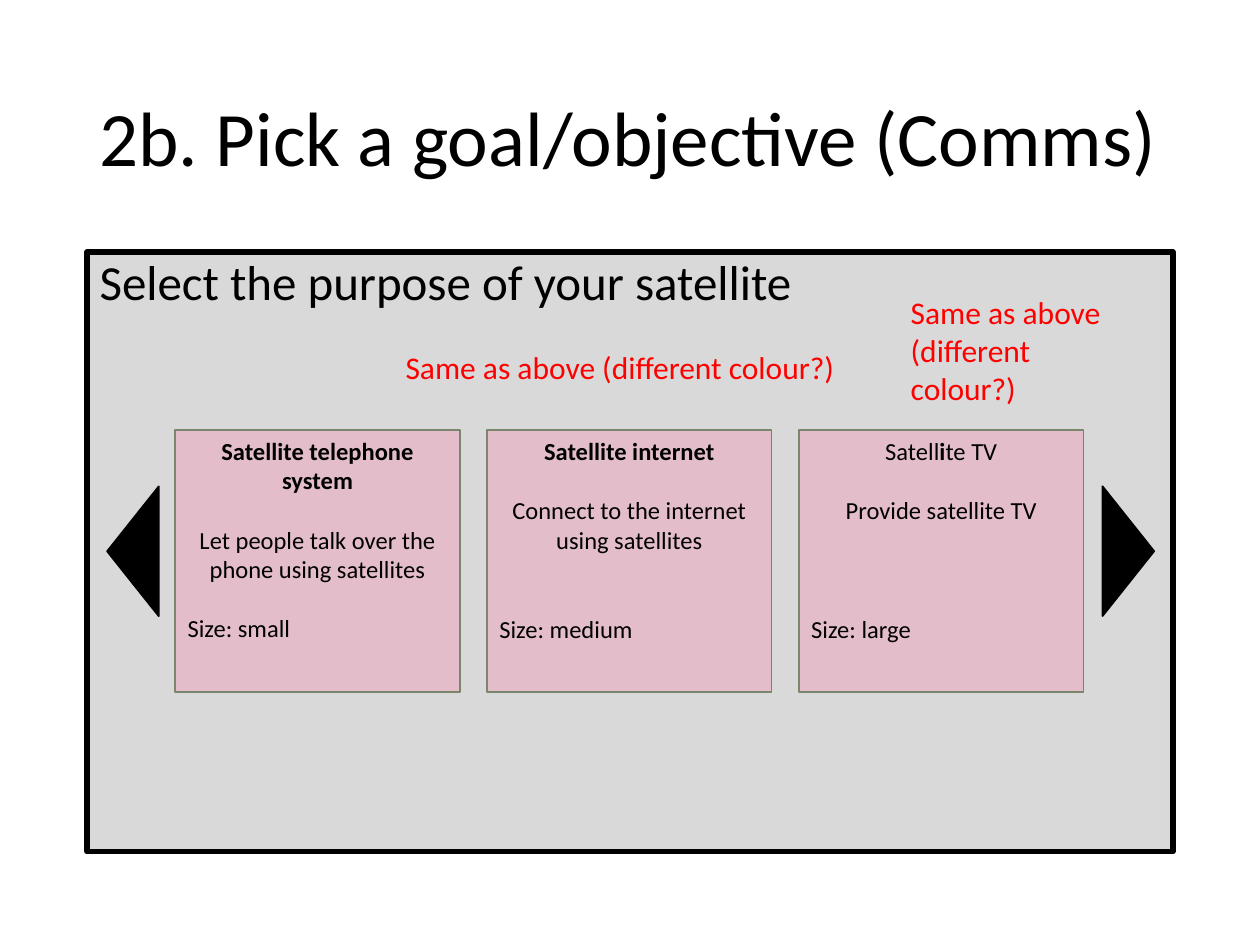
import pptx
import pptx.util
import pptx.dml.color
import pptx.enum.shapes
import pptx.enum.text
from lxml import etree

TITLE = "2b. Pick a goal/objective (Comms)"
PROMPT = "Select the purpose of your satellite"
NOTE = "Same as above (different colour?)"
CARDS = [
    {"name": [("Satellite telephone system", True)],
     "goal": "Let people talk over the phone using satellites",
     "size": "Size: small", "lines_before_size": 1},
    {"name": [("Satellite internet", True)],
     "goal": "Connect to the internet using satellites",
     "size": "Size: medium", "lines_before_size": 2},
    {"name": [("Satell", False), ("i", True), ("te TV", False)],
     "goal": "Provide satellite TV",
     "size": "Size: large", "lines_before_size": 3},
]
NOTES = [(3.12, 2.71, 4.79, 0.4), (7.13, 2.28, 1.83, 1.01)]
ARROWS = [(8.44, 90), (0.54, 270)]

WIDTH, HEIGHT = 10, 7.5
MARGIN = 0.69
CARD_LEFT, CARD_TOP, CARD_WIDTH, CARD_HEIGHT, CARD_STEP = 1.39, 3.41, 2.26, 2.08, 2.475
LINE_HEIGHT = 17.1
BLACK, RED, GREY, PINK, OLIVE = "000000", "FF0000", "D9D9D9", "E3BECA", "7A866C"
LEFT, CENTER = pptx.enum.text.PP_ALIGN.LEFT, pptx.enum.text.PP_ALIGN.CENTER
ANCHOR = pptx.enum.text.MSO_ANCHOR
SHAPE = pptx.enum.shapes.MSO_SHAPE


def color(value):
    return pptx.dml.color.RGBColor.from_string(value)


def inches(*lengths):
    return [pptx.util.Inches(length) for length in lengths]


def place(box, *lengths):
    box.left, box.top, box.width, box.height = inches(*lengths)


def paint(box, fill, line, weight):
    box.fill.solid()
    box.fill.fore_color.rgb = color(fill)
    box.line.color.rgb = color(line)
    box.line.width = pptx.util.Pt(weight)


def set_frame(box, anchor):
    frame = box.text_frame
    frame.word_wrap = True
    frame.auto_size = pptx.enum.text.MSO_AUTO_SIZE.NONE
    frame.vertical_anchor = anchor
    return frame


def write(para, spans, size, ink=BLACK, align=LEFT, before=0, spacing=1.0):
    para.alignment = align
    para.space_before = pptx.util.Pt(before)
    para.line_spacing = spacing
    for text, bold in spans:
        span = para.add_run()
        span.text = text
        span.font.name = "Calibri"
        span.font.size = pptx.util.Pt(size)
        span.font.bold = bold
        span.font.color.rgb = color(ink)


def remove_bullet(para):
    properties = para._p.get_or_add_pPr()
    properties.set("marL", "0")
    properties.set("indent", "0")
    etree.SubElement(properties, pptx.oxml.ns.qn("a:buNone"))


def add_shape(page, kind, lengths, fill, line):
    box = page.shapes.add_shape(kind, *inches(*lengths))
    box.shadow.inherit = False
    paint(box, fill, line, 1)
    return box


def add_card(page, column, card):
    left = CARD_LEFT + column * CARD_STEP
    box = add_shape(page, SHAPE.RECTANGLE, (left, CARD_TOP, CARD_WIDTH, CARD_HEIGHT), PINK, OLIVE)
    frame = set_frame(box, ANCHOR.TOP)
    write(frame.paragraphs[0], card["name"], 14, align=CENTER)
    write(frame.add_paragraph(), [(card["goal"], False)], 14, align=CENTER, before=LINE_HEIGHT)
    write(frame.add_paragraph(), [(card["size"], False)], 14,
          before=card["lines_before_size"] * LINE_HEIGHT)


def main():
    """Build the slide on choosing a communications goal."""
    deck = pptx.Presentation()
    deck.slide_width, deck.slide_height = inches(WIDTH, HEIGHT)
    page = deck.slides.add_slide(deck.slide_layouts[1])
    title, panel = page.placeholders

    place(title, MARGIN, 0.4, WIDTH - 2 * MARGIN, 1.45)
    write(set_frame(title, ANCHOR.MIDDLE).paragraphs[0], [(TITLE, False)], 44, spacing=0.9)

    place(panel, MARGIN, 2, WIDTH - 2 * MARGIN, 4.76)
    paint(panel, GREY, BLACK, 3)
    prompt = set_frame(panel, ANCHOR.TOP).paragraphs[0]
    write(prompt, [(PROMPT, False)], 28, before=10, spacing=0.9)
    remove_bullet(prompt)

    for column, card in enumerate(CARDS):
        add_card(page, column, card)
    for left, angle in ARROWS:
        arrow = add_shape(page, SHAPE.ISOSCELES_TRIANGLE, (left, 4.17, 1.03, 0.41), BLACK, BLACK)
        arrow.rotation = angle
    for lengths in NOTES:
        box = page.shapes.add_textbox(*inches(*lengths))
        write(set_frame(box, ANCHOR.TOP).paragraphs[0], [(NOTE, False)], 18, RED)

    deck.save("out.pptx")


if __name__ == "__main__":
    main()
